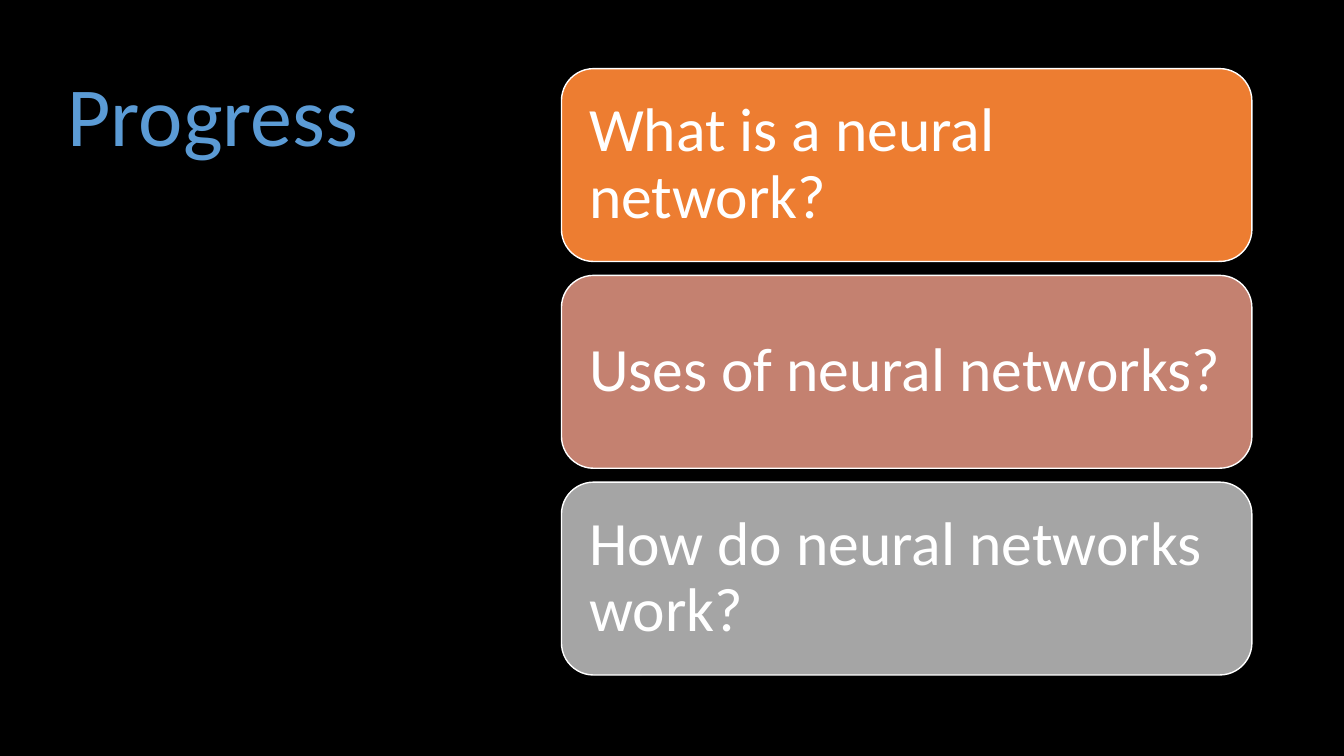
from dataclasses import dataclass

from pptx import Presentation
from pptx.dml.color import RGBColor
from pptx.enum.shapes import MSO_SHAPE
from pptx.enum.text import MSO_ANCHOR, PP_ALIGN
from pptx.slide import Slide
from pptx.text.text import TextFrame
from pptx.util import Cm, Pt

COLORS = {
    "background": "000000",
    "title": "5B9BD5",
    "white": "FFFFFF",
    "orange": "ED7D31",
    "rose": "C48170",
    "gray": "A5A5A5",
}

CARD_LEFT, CARD_TOP = 14.15, 1.73
CARD_WIDTH, CARD_HEIGHT = 17.4, 4.86
CARD_PITCH = 5.21


@dataclass
class Card:
    text: str
    fill: str


CARDS = [
    Card("What is a neural network?", "orange"),
    Card("Uses of neural networks?", "rose"),
    Card("How do neural networks work?", "gray"),
]


def rgb(name: str) -> RGBColor:
    return RGBColor.from_string(COLORS[name])


def write_text(tf: TextFrame, text: str, *, size: int, color: str,
               anchor: MSO_ANCHOR, inset_x: float, inset_y: float) -> None:
    tf.word_wrap = True
    tf.vertical_anchor = anchor
    tf.margin_left = tf.margin_right = Cm(inset_x)
    tf.margin_top = tf.margin_bottom = Cm(inset_y)
    p = tf.paragraphs[0]
    p.alignment = PP_ALIGN.LEFT
    p.line_spacing = 0.9
    r = p.add_run()
    r.text = text
    r.font.name = "Calibri"
    r.font.size = Pt(size)
    r.font.color.rgb = rgb(color)


def add_card(s: Slide, card: Card, top: float) -> None:
    sp = s.shapes.add_shape(MSO_SHAPE.ROUNDED_RECTANGLE, Cm(CARD_LEFT), Cm(top),
                            Cm(CARD_WIDTH), Cm(CARD_HEIGHT))
    sp.shadow.inherit = False
    sp.fill.solid()
    sp.fill.fore_color.rgb = rgb(card.fill)
    sp.line.color.rgb = rgb("white")
    sp.line.width = Pt(1)
    write_text(sp.text_frame, card.text, size=44, color="white",
               anchor=MSO_ANCHOR.MIDDLE, inset_x=0.46, inset_y=0.46)


def main() -> None:
    prs = Presentation()
    prs.slide_width, prs.slide_height = Cm(33.87), Cm(19.05)
    s = prs.slides.add_slide(prs.slide_layouts[6])

    # Background
    s.background.fill.solid()
    s.background.fill.fore_color.rgb = rgb("background")

    # Title
    title = s.shapes.add_textbox(Cm(1.45), Cm(1.73), Cm(11.81), Cm(15.29))
    write_text(title.text_frame, "Progress", size=60, color="title",
               anchor=MSO_ANCHOR.TOP, inset_x=0.25, inset_y=0.13)

    # Question cards
    for i, card in enumerate(CARDS):
        add_card(s, card, CARD_TOP + i * CARD_PITCH)

    prs.save("out.pptx")


if __name__ == "__main__":
    main()
